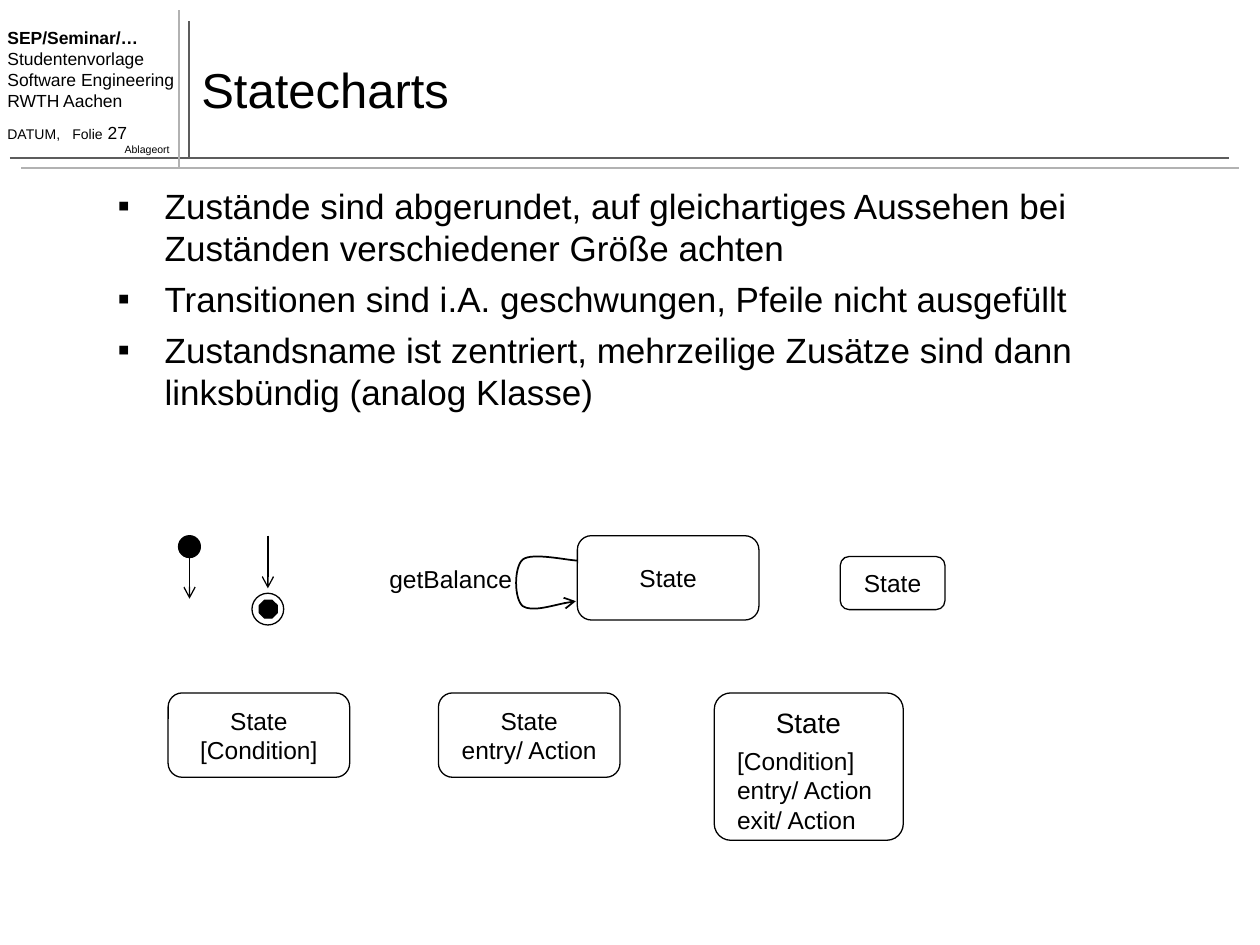
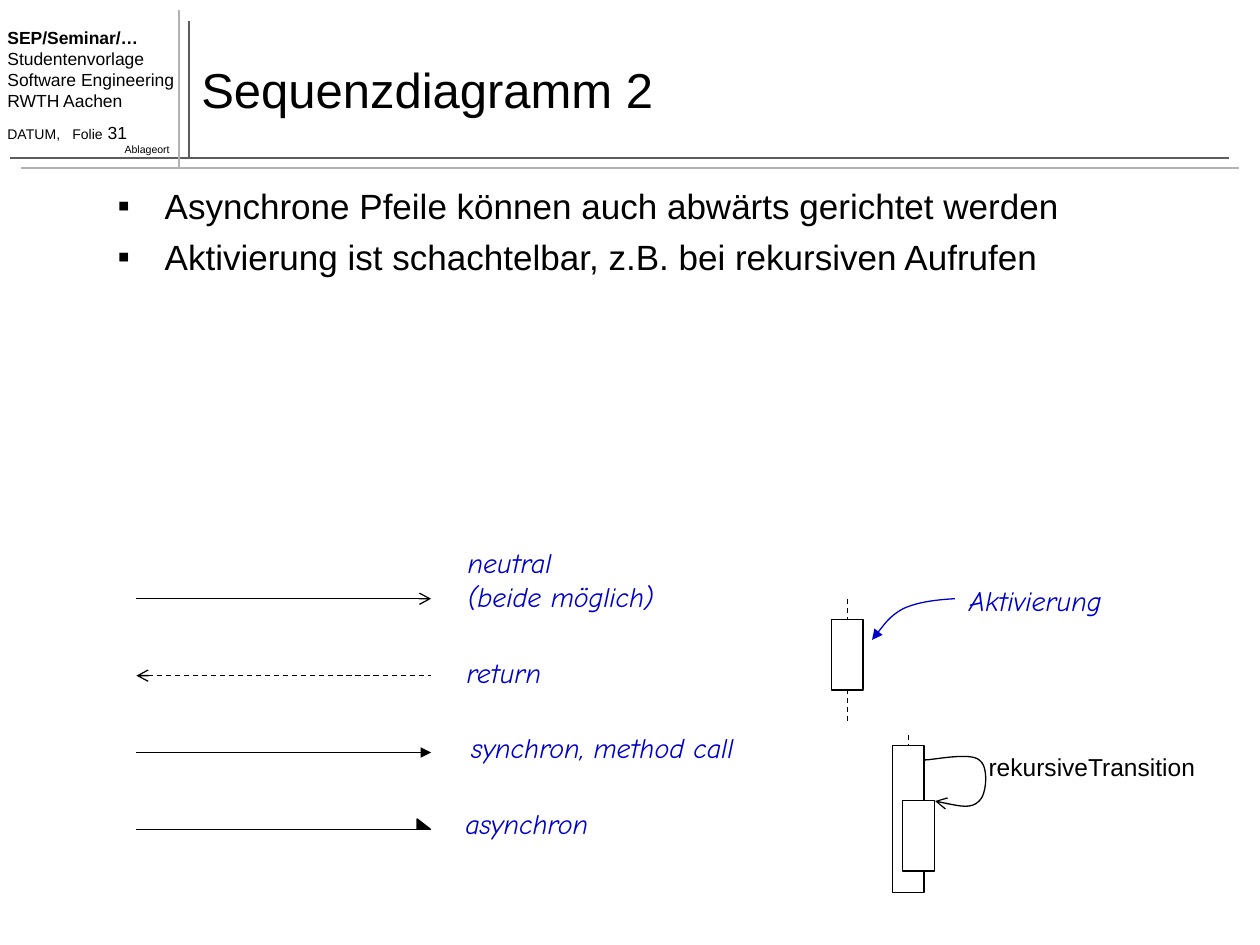
from lxml import etree
from pptx import Presentation
from pptx.dml.color import RGBColor
from pptx.enum.dml import MSO_LINE
from pptx.enum.shapes import MSO_CONNECTOR, MSO_SHAPE
from pptx.enum.text import MSO_ANCHOR, PP_ALIGN
from pptx.oxml.ns import qn
from pptx.util import Cm, Pt

STRAIGHT = MSO_CONNECTOR.STRAIGHT
ROUNDED, RECT, OVAL = MSO_SHAPE.ROUNDED_RECTANGLE, MSO_SHAPE.RECTANGLE, MSO_SHAPE.OVAL
OCTAGON, HALF_HEAD = MSO_SHAPE.OCTAGON, MSO_SHAPE.RIGHT_TRIANGLE
DASH = MSO_LINE.DASH
LEFT, CENTER, RIGHT = PP_ALIGN.LEFT, PP_ALIGN.CENTER, PP_ALIGN.RIGHT
TOP, MIDDLE = MSO_ANCHOR.TOP, MSO_ANCHOR.MIDDLE

COLORS = {"black": "000000", "white": "FFFFFF", "dark": "5C5C5C",
          "light": "B2B2B2", "blue": "0000CC"}
ARIAL, COMIC = "Arial", "Comic Neue"


def style_line(sp, color="black", width=0.75, dash=None, head=None, tail=None):
    """Outline of a shape or connector, without shadow."""
    sp.line.color.rgb = RGBColor.from_string(COLORS[color])
    sp.line.width = Pt(width)
    if dash:
        sp.line.dash_style = dash
    ln = sp.line._get_or_add_ln()
    for tag, kind in (("a:headEnd", head), ("a:tailEnd", tail)):
        if kind:
            etree.SubElement(ln, qn(tag), type=kind)
    etree.SubElement(sp._element.spPr, qn("a:effectLst"))


def write(sp, lines, size, font=ARIAL, color="black", align=LEFT, anchor=TOP,
          wrap=False, inset=True, space=0):
    """One paragraph per line; a line is a string or a list of (text, size, bold)."""
    tf = sp.text_frame
    tf.word_wrap = wrap
    tf.vertical_anchor = anchor
    tf.margin_left = tf.margin_right = Cm(0.25 if inset else 0)
    tf.margin_top = tf.margin_bottom = Cm(0.13 if inset else 0)
    for i, line in enumerate(lines):
        p = tf.paragraphs[0] if i == 0 else tf.add_paragraph()
        p.alignment = align
        if i and space:
            p.space_before = Pt(space)
        for text, points, bold in [(line, size, False)] if isinstance(line, str) else line:
            r = p.add_run()
            r.text = text
            r.font.name, r.font.size, r.font.bold = font, Pt(points), bold
            r.font.italic = font == COMIC
            r.font.color.rgb = RGBColor.from_string(COLORS[color])


prs = Presentation()
prs.slide_width, prs.slide_height = Cm(25.4), Cm(19.05)

# Shared frame, title and bullets
FRAME_LINES = [
    (3.81, 3.18, 3.81, 0.43, "dark"),
    (0.2, 3.18, 24.77, 3.18, "dark"),
    (0.43, 3.38, 24.97, 3.38, "light"),
    (3.61, 3.38, 3.61, 0.2, "light"),
]
PAGES = [
    ("Statecharts", "27", [
        "Zustände sind abgerundet, auf gleichartiges Aussehen bei Zuständen "
        "verschiedener Größe achten",
        "Transitionen sind i.A. geschwungen, Pfeile nicht ausgefüllt",
        "Zustandsname ist zentriert, mehrzeilige Zusätze sind dann "
        "linksbündig (analog Klasse)"]),
    ("Sequenzdiagramm 2", "31", [
        "Asynchrone Pfeile können auch abwärts gerichtet werden",
        "Aktivierung ist schachtelbar, z.B. bei rekursiven Aufrufen"]),
]
slides = []
for title, number, bullets in PAGES:
    s = prs.slides.add_slide(prs.slide_layouts[6])
    slides.append(s)
    for x1, y1, x2, y2, color in FRAME_LINES:
        style_line(s.shapes.add_connector(STRAIGHT, Cm(x1), Cm(y1), Cm(x2), Cm(y2)), color, 1)

    sp = s.shapes.add_textbox(Cm(-0.1), Cm(0.41), Cm(3.91), Cm(2.59))
    write(sp, [[("SEP/Seminar/…", 10, True)], "Studentenvorlage", "Software Engineering",
               "RWTH Aachen", [("DATUM,\tFolie", 8, False), (" " + number, 10, False)]],
          10, wrap=True)
    p = sp.text_frame.paragraphs[-1]
    p.space_before = Pt(6.2)
    tabs = etree.SubElement(p._p.get_or_add_pPr(), qn("a:tabLst"))
    etree.SubElement(tabs, qn("a:tab"), pos=str(Cm(1.31)), algn="l")

    sp = s.shapes.add_textbox(Cm(1.87), Cm(2.76), Cm(1.8), Cm(0.51))
    write(sp, ["Ablageort"], 6, align=RIGHT)
    sp = s.shapes.add_textbox(Cm(3.81), Cm(0.62), Cm(21.16), Cm(2.34))
    write(sp, [title], 28, anchor=MIDDLE, wrap=True)

    sp = s.shapes.add_textbox(Cm(2.12), Cm(3.59), Cm(22.86), Cm(15.04))
    write(sp, bullets, 20, wrap=True, space=5)
    for p in sp.text_frame.paragraphs:
        pPr = p._p.get_or_add_pPr()
        pPr.set("marL", str(Cm(0.95)))
        pPr.set("indent", str(-Cm(0.95)))
        etree.SubElement(pPr, qn("a:buFont"), typeface=ARIAL)
        etree.SubElement(pPr, qn("a:buChar"), char="▪")

states, sequence = slides

# Straight arrows and lifelines: slide, start, end, dash, head, tail
ARROW_X, ARROW_END, ARROW_Y, ARROW_STEP = 2.75, 8.69, 12.07, 1.55
ARROW_KINDS = [(None, None, "arrow"), (DASH, "arrow", None),
               (None, None, "triangle"), (None, None, None)]
lines = [
    (states, 3.82, 11.0, 3.82, 12.07, None, None, "arrow"),
    (states, 5.4, 10.8, 5.4, 11.86, None, None, "arrow"),
    (sequence, 17.08, 12.07, 17.08, 14.61, DASH, None, None),
    (sequence, 18.31, 14.81, 18.31, 17.35, DASH, None, None),
]
for i, kind in enumerate(ARROW_KINDS):
    y = ARROW_Y + i * ARROW_STEP
    lines.append((sequence, ARROW_X, y, ARROW_END, y, *kind))
for s, x1, y1, x2, y2, dash, head, tail in lines:
    sp = s.shapes.add_connector(STRAIGHT, Cm(x1), Cm(y1), Cm(x2), Cm(y2))
    style_line(sp, dash=dash, head=head, tail=tail)

# Curved arrows: a start point, then three points per Bézier segment
CURVES = [
    (states, "black", 1, "arrow", [
        (11.63, 11.3), (11.46, 11.3), (10.72, 11.13), (10.54, 11.28),
        (10.36, 11.43), (10.36, 12.07), (10.54, 12.22),
        (10.72, 12.34), (11.38, 12.14), (11.61, 12.12)]),
    (sequence, "black", 0.75, "arrow", [
        (18.64, 15.32), (18.82, 15.32), (19.56, 15.16), (19.74, 15.32),
        (19.94, 15.44), (19.89, 16.03), (19.74, 16.15),
        (19.58, 16.31), (19.23, 16.23), (18.85, 16.15)]),
    (sequence, "blue", 0.75, "triangle", [
        (19.25, 12.07), (18.87, 12.09), (18.49, 12.14), (18.21, 12.27),
        (17.93, 12.42), (17.68, 12.78), (17.58, 12.9)]),
]
for s, color, width, tail, points in CURVES:
    start, *rest = [(Cm(x), Cm(y)) for x, y in points]
    builder = s.shapes.build_freeform(*start)
    builder.add_line_segments(rest, close=False)
    sp = builder.convert_to_shape()
    sp.fill.background()
    style_line(sp, color, width, tail=tail)
    segments = sp._element.xpath(".//a:lnTo")
    for i in range(0, len(segments), 3):
        curve = etree.SubElement(segments[i].getparent(), qn("a:cubicBezTo"))
        for segment in segments[i:i + 3]:
            curve.append(segment[0])
            segment.getparent().remove(segment)

# Initial and final state, activation bars, half arrowhead
SYMBOLS = [
    (states, OVAL, 3.6, 10.8, 0.44, 0.44, "black"),
    (states, OCTAGON, 5.23, 12.1, 0.36, 0.36, "black"),
    (states, OVAL, 5.08, 11.96, 0.64, 0.64, None),
    (sequence, RECT, 16.76, 12.49, 0.64, 1.42, "white"),
    (sequence, RECT, 17.99, 15.03, 0.64, 2.97, "white"),
    (sequence, RECT, 18.2, 16.14, 0.64, 1.42, "white"),
    (sequence, HALF_HEAD, 8.41, 16.51, 0.26, 0.2, "black"),
]
for s, kind, x, y, w, h, fill in SYMBOLS:
    sp = s.shapes.add_shape(kind, Cm(x), Cm(y), Cm(w), Cm(h))
    if fill:
        sp.fill.solid()
        sp.fill.fore_color.rgb = RGBColor.from_string(COLORS[fill])
    else:
        sp.fill.background()
    style_line(sp)

# State boxes
STATES = [
    (11.64, 10.8, 3.66, 1.7, 0.167, ["State"]),
    (16.94, 11.22, 2.11, 1.07, 0.167, ["State"]),
    (3.39, 13.97, 3.66, 1.7, 0.167, ["State", "[Condition]"]),
    (8.84, 13.97, 3.66, 1.7, 0.167, ["State", "entry/ Action"]),
    (14.4, 13.97, 3.81, 2.97, 0.112, []),
]
for x, y, w, h, rounding, text in STATES:
    sp = states.shapes.add_shape(ROUNDED, Cm(x), Cm(y), Cm(w), Cm(h))
    sp.adjustments[0] = rounding
    sp.fill.solid()
    sp.fill.fore_color.rgb = RGBColor.from_string(COLORS["white"])
    style_line(sp)
    write(sp, text, 14, align=CENTER, anchor=MIDDLE)

# Labels: slide, place, lines, size, font, colour, inset
LABELS = [
    (states, 7.6, 11.25, 3.2, 0.86, ["getBalance"], 14, ARIAL, "black", True),
    (states, 14.61, 14.91, 3.4, 2.03, ["[Condition]", "entry/ Action", "exit/ Action"],
     14, ARIAL, "black", True),
    (states, 15.39, 14.1, 2.0, 0.94, ["State"], 16, ARIAL, "black", True),
    (sequence, 9.43, 11.0, 4.0, 1.35, ["neutral", "(beide möglich)"],
     16, COMIC, "blue", False),
    (sequence, 9.41, 13.21, 1.8, 0.69, ["return"], 16, COMIC, "blue", False),
    (sequence, 9.5, 14.73, 5.6, 0.69, ["synchron, method call"], 16, COMIC, "blue", False),
    (sequence, 9.38, 16.26, 2.7, 0.69, ["asynchron"], 16, COMIC, "blue", False),
    (sequence, 19.28, 11.63, 3.4, 0.94, ["Aktivierung"], 16, COMIC, "blue", True),
    (sequence, 19.68, 15.04, 4.9, 0.86, ["rekursiveTransition"], 14, ARIAL, "black", True),
]
for s, x, y, w, h, text, size, font, color, inset in LABELS:
    sp = s.shapes.add_textbox(Cm(x), Cm(y), Cm(w), Cm(h))
    write(sp, text, size, font, color, inset=inset)

prs.save("out.pptx")
